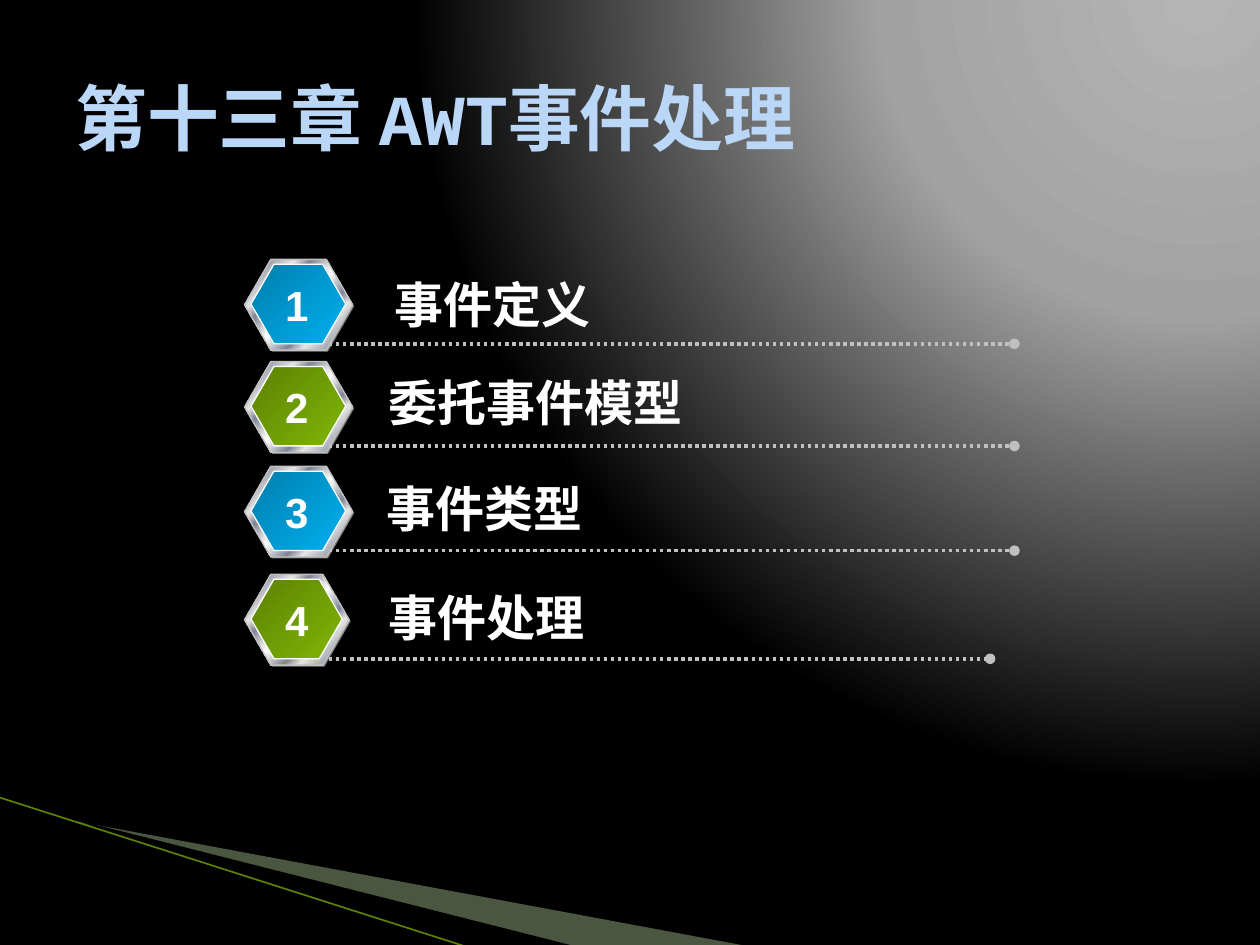
from pptx import Presentation
from pptx.dml.color import RGBColor
from pptx.enum.dml import MSO_LINE
from pptx.enum.shapes import MSO_CONNECTOR as Connector, MSO_SHAPE as Preset
from pptx.enum.text import MSO_ANCHOR as Anchor, MSO_AUTO_SIZE as AutoSize, PP_ALIGN as Align
from pptx.oxml import parse_xml
from pptx.oxml.ns import nsdecls, qn
from pptx.oxml.xmlchemy import OxmlElement
from pptx.util import Cm, Pt

SILVER, WHITE, BLACK = "C0C0C0", "FFFFFF", "000000"
BLUE = [(0, "007EAC"), (100, "00B0F0")]
GREEN = [(0, "5C8204"), (100, "80B606")]
METAL = [(0, "E6E6E6"), (8, "7D8496"), (26, "E6E6E6"), (34, "7D8496"),
         (46, "E6E6E6"), (50, "FFFFFF"), (54, "E6E6E6"), (66, "7D8496"),
         (74, "E6E6E6"), (93, "7D8496"), (100, "E6E6E6")]
GLOW = [(0, "B4B4B4"), (40, "A2A2A2"), (100, "000000")]
DIAGONAL = '<a:lin ang="2700000" scaled="1"/>'
TOP_RIGHT = ('<a:path path="circle"><a:fillToRect l="95000" t="-106000" '
             'r="5000" b="206000"/></a:path>')


def paint(color_format, color):
    color_format.rgb = RGBColor.from_string(color)


def fill_solid(fill, color):
    fill.solid()
    paint(fill.fore_color, color)


def fill_gradient(fill, properties, stops, direction):
    fill.solid()
    stop_list = "".join(
        f'<a:gs pos="{position * 1000}"><a:srgbClr val="{color}"/></a:gs>'
        for position, color in stops)
    gradient = parse_xml(f'<a:gradFill {nsdecls("a")} rotWithShape="1">'
                         f'<a:gsLst>{stop_list}</a:gsLst>{direction}</a:gradFill>')
    properties.replace(properties.find(qn("a:solidFill")), gradient)


def add_wedge(slide, corners, color, opacity=100):
    points = [(Cm(x), Cm(y)) for x, y in corners]
    builder = slide.shapes.build_freeform(*points[0], scale=1.0)
    builder.add_line_segments(points[1:], close=True)
    wedge = builder.convert_to_shape()
    wedge.shadow.inherit = False
    fill_solid(wedge.fill, color)
    wedge.line.fill.background()
    if opacity < 100:
        alpha = OxmlElement("a:alpha")
        alpha.set("val", str(opacity * 1000))
        wedge.element.spPr.find(qn("a:solidFill"))[0].append(alpha)


def add_line(slide, start, end, color, width):
    line = slide.shapes.add_connector(
        Connector.STRAIGHT, *(Cm(value) for value in (*start, *end)))
    paint(line.line.color, color)
    line.line.width = Pt(width)
    line.element.spPr.append(OxmlElement("a:effectLst"))
    return line


def add_dotted_rule(slide, start, end):
    rule = add_line(slide, start, end, SILVER, 2)
    rule.line.dash_style = MSO_LINE.ROUND_DOT
    dot = OxmlElement("a:tailEnd")
    dot.set("type", "oval")
    rule.line._get_or_add_ln().append(dot)


def add_text(slide, box, text, size, color, font="Arial", align=Align.LEFT,
             wrap=True, anchor=Anchor.TOP, auto_size=AutoSize.SHAPE_TO_FIT_TEXT):
    frame = slide.shapes.add_textbox(*(Cm(value) for value in box)).text_frame
    frame.word_wrap = wrap
    frame.auto_size = auto_size
    frame.vertical_anchor = anchor
    paragraph = frame.paragraphs[0]
    paragraph.text = text
    paragraph.alignment = align
    paragraph.font.name = font
    paragraph.font.size = Pt(size)
    paragraph.font.bold = True
    paint(paragraph.font.color, color)


def add_hexagon(group, left, top, width, height, outline=None):
    hexagon = group.shapes.add_shape(
        Preset.HEXAGON, Cm(left), Cm(top), Cm(width), Cm(height))
    hexagon.adjustments[0] = 0.289
    hexagon.shadow.inherit = False
    if outline:
        paint(hexagon.line.color, outline)
        hexagon.line.width = Pt(0.75)
    else:
        hexagon.line.fill.background()
    return hexagon


def add_badge(slide, top, width, stops):
    left, height = 4.93, 1.83
    group = slide.shapes.add_group_shape()
    shade = add_hexagon(group, left + 0.03, top + 0.03, width, height)
    fill_solid(shade.fill, "808080")
    rim = add_hexagon(group, left, top, width, height, SILVER)
    fill_gradient(rim.fill, rim.element.spPr, METAL, DIAGONAL)
    face = add_hexagon(group, left + 0.13, top + 0.1, width - 0.27, height - 0.23, WHITE)
    fill_gradient(face.fill, face.element.spPr, stops, DIAGONAL)


def add_topic(slide, number, topic, top, badge_width, stops, rule_end, label_box):
    label_left, label_offset, label_width = label_box
    add_badge(slide, top, badge_width, stops)
    rule_top = top + 1.7
    add_dotted_rule(slide, (6.63, rule_top), (rule_end, rule_top))
    add_text(slide, (label_left, top + label_offset, label_width, 1.45), topic, 28, WHITE)
    add_text(slide, (5.49, top + 0.28, 0.99, 1.27), str(number), 24, WHITE,
             align=Align.CENTER, wrap=False)


def main():
    deck = Presentation()
    deck.slide_width, deck.slide_height = Cm(25.4), Cm(19.05)
    slide = deck.slides.add_slide(deck.slide_layouts[6])
    backdrop = slide.background.fill
    backdrop.solid()
    fill_gradient(backdrop, slide.element.find(f'.//{qn("p:bgPr")}'), GLOW, TOP_RIGHT)

    add_wedge(slide, [(1.4, 16.53), (15.11, 19.08), (11.58, 19.08)], "BAD79E", 40)
    add_wedge(slide, [(1.35, 16.48), (11.61, 19.08), (9.45, 19.1)], BLACK)
    add_line(slide, (0, 16.08), (9.45, 19.1), "5C8204", 0.95)
    add_text(slide, (1.27, 0.76, 22.86, 3.18), "第十三章 AWT事件处理", 41, "BBD7F8",
             font="Courier New", anchor=Anchor.MIDDLE, auto_size=AutoSize.NONE)

    topics = [
        ("事件定义", 5.23, 2.18, BLUE, 20.45, (7.7, 0.18, 6.27)),
        ("委托事件模型", 7.29, 2.18, GREEN, 20.45, (7.59, 0.1, 7.85)),
        ("事件类型", 9.4, 2.18, BLUE, 20.45, (7.54, 0.13, 7.47)),
        ("事件处理", 11.58, 2.11, GREEN, 19.96, (7.59, 0.13, 8.05)),
    ]
    for number, topic in enumerate(topics, start=1):
        add_topic(slide, number, *topic)

    deck.save("out.pptx")


if __name__ == "__main__":
    main()
